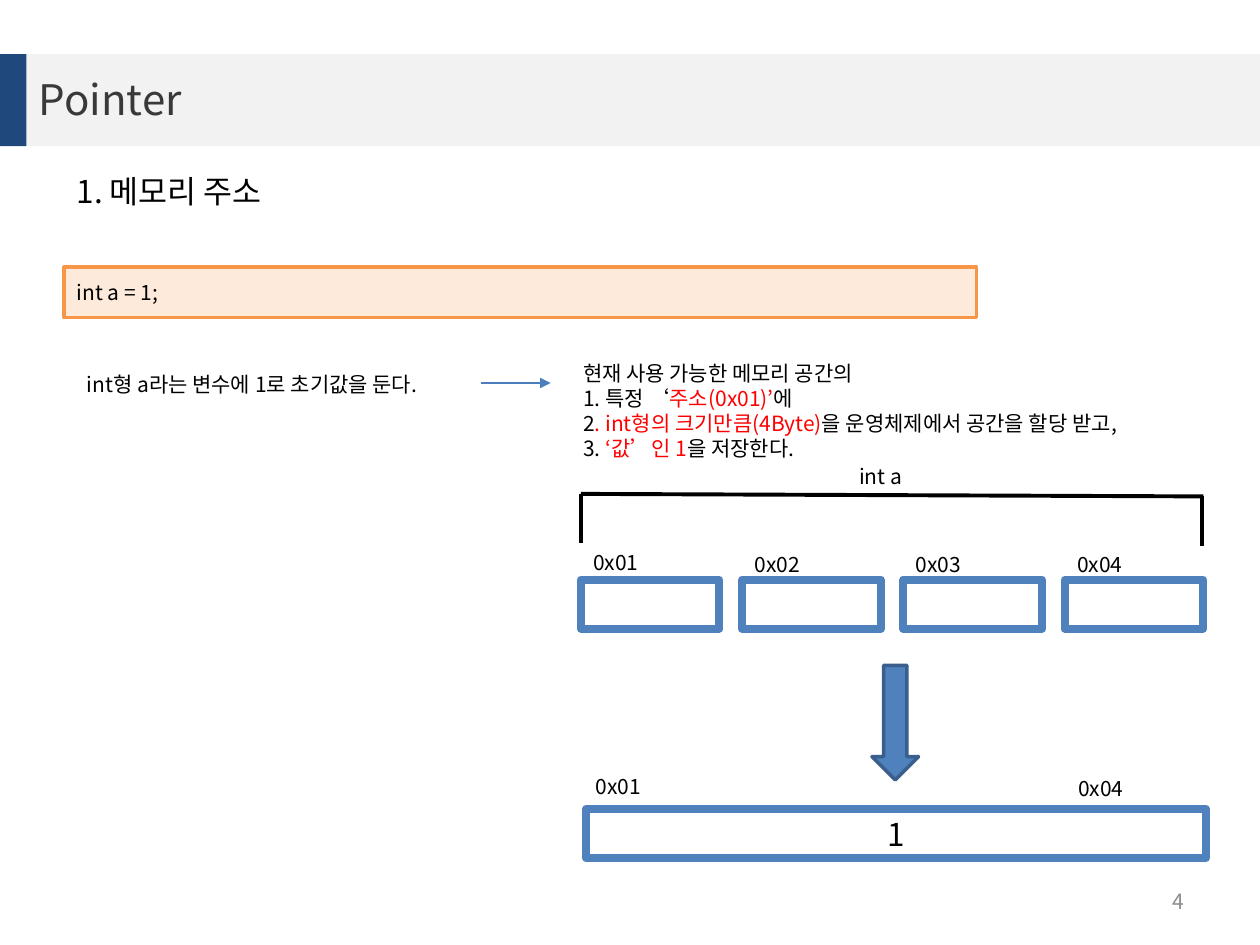
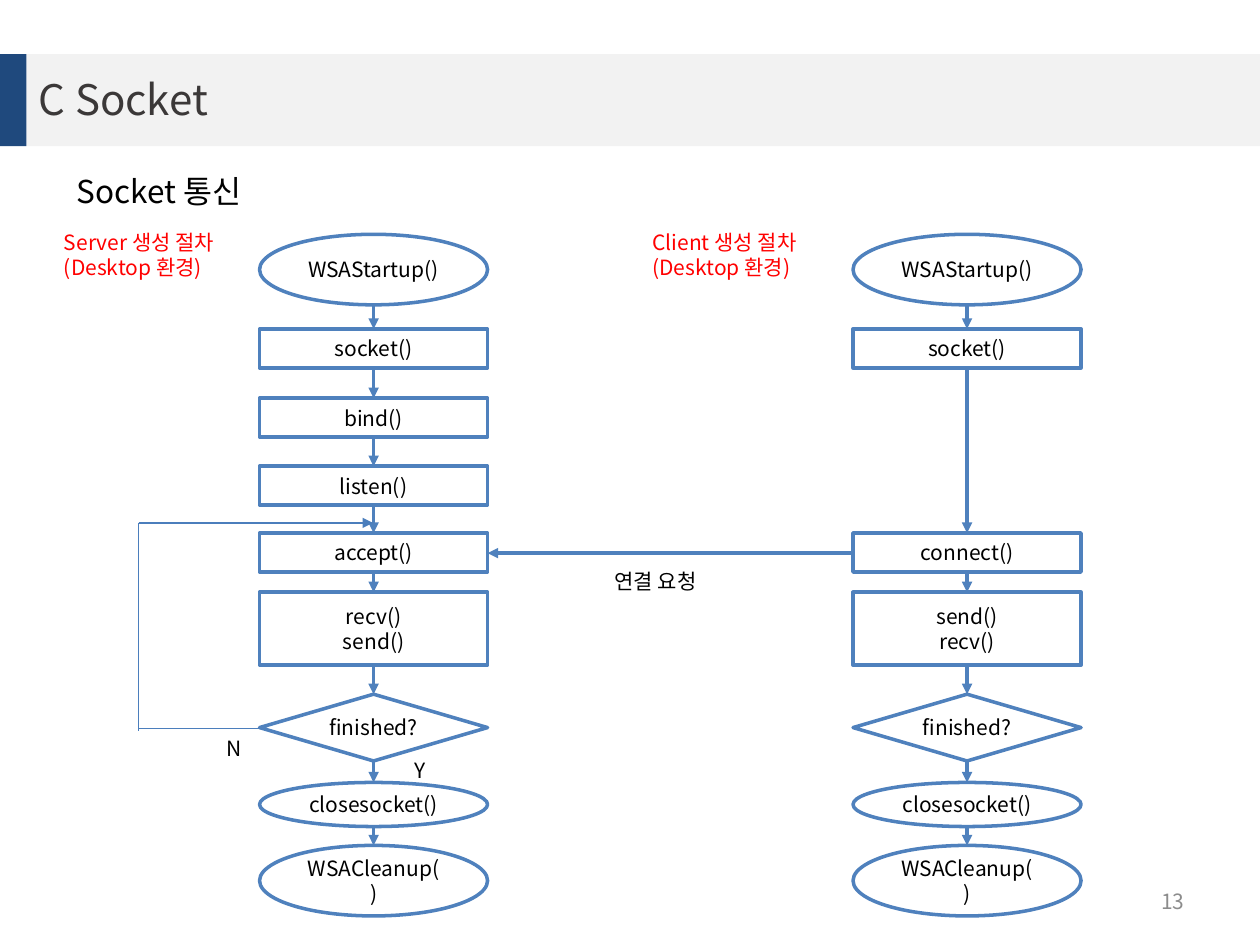
import pptx
import pptx.util
import pptx.dml.color
import pptx.enum.shapes
import pptx.enum.text
import pptx.oxml.ns
import lxml.etree

Form = pptx.enum.shapes.MSO_SHAPE
Side = pptx.enum.text.PP_ALIGN
Stand = pptx.enum.text.MSO_ANCHOR
Pt = pptx.util.Pt
qn = pptx.oxml.ns.qn


class Theme:
    """Colours, font and type sizes of the deck."""
    face = "Noto Sans CJK KR"
    navy, pale, grey, ink = "1F497D", "F2F2F2", "8C8C8C", "3B3838"
    black, white, red = "000000", "FFFFFF", "FF0000"
    blue, thin, deep = "4F81BD", "4B7EBC", "3A5F8C"
    cream, gold = "FDEADA", "F79646"
    small, large, title = 12, 18, 24


# The grid has 100 columns and 75 rows
deck = pptx.Presentation()
deck.slide_width = pptx.util.Inches(10)
deck.slide_height = pptx.util.Inches(7.5)
COL = deck.slide_width / 100
ROW = deck.slide_height / 75


def put(slide, box, text="", form=None, fill=None, line=None, size=Theme.small,
        tint=Theme.black, side=Side.LEFT, stand=Stand.MIDDLE):
    """Add a shape, or a text box without form; text after each odd | is red."""
    left, top, wide, high = box
    area = [round(v) for v in (left * COL, top * ROW, wide * COL, high * ROW)]
    if form is None:
        item = slide.shapes.add_textbox(*area)
    else:
        item = slide.shapes.add_shape(form, *area)
        item.shadow.inherit = False
        item.fill.solid()
        item.fill.fore_color.rgb = pptx.dml.color.RGBColor.from_string(fill)
        if line:
            item.line.color.rgb = pptx.dml.color.RGBColor.from_string(line[0])
            item.line.width = Pt(line[1])
        else:
            item.line.fill.background()
    frame = item.text_frame
    for key, val in {"word_wrap": True, "vertical_anchor": stand}.items():
        setattr(frame, key, val)
    if not text:
        return
    for num, words in enumerate(text.split("\n")):
        para = frame.add_paragraph() if num else frame.paragraphs[0]
        for key, val in {"alignment": side, "line_spacing": Pt(size * 1.2)}.items():
            setattr(para, key, val)
        for part, piece in enumerate(words.split("|")):
            run = para.add_run()
            run.text = piece
            for key, val in {"name": Theme.face, "size": Pt(size)}.items():
                setattr(run.font, key, val)
            shade = Theme.red if part % 2 else tint
            run.font.color.rgb = pptx.dml.color.RGBColor.from_string(shade)
            east = lxml.etree.SubElement(run.font._element, qn("a:ea"))
            east.set("typeface", Theme.face)


def link(slide, start, end, tint=Theme.blue, wide=2, head=True):
    """Draw a straight line between two grid points, with an arrowhead or not."""
    ends = [round(v) for v in (start[0] * COL, start[1] * ROW,
                               end[0] * COL, end[1] * ROW)]
    wire = slide.shapes.add_connector(pptx.enum.shapes.MSO_CONNECTOR.STRAIGHT, *ends)
    wire.line.color.rgb = pptx.dml.color.RGBColor.from_string(tint)
    wire.line.width = Pt(wide)
    if head:
        tip = lxml.etree.SubElement(wire.line._get_or_add_ln(), qn("a:tailEnd"))
        tip.set("type", "triangle")
    lxml.etree.SubElement(wire._element.spPr, qn("a:effectLst"))


# Shared frame: bands, title, heading and page number
pages = []
for title, topic, page in (("Pointer", "1. 메모리 주소", "4"),
                           ("C Socket", "Socket 통신", "13")):
    slide = deck.slides.add_slide(deck.slide_layouts[6])
    put(slide, (2.1, 4.3, 97.9, 7.3), form=Form.RECTANGLE, fill=Theme.pale)
    put(slide, (0, 4.3, 2.1, 7.3), form=Form.RECTANGLE, fill=Theme.navy)
    put(slide, (71.7, 69.5, 23.3, 4), page, tint=Theme.grey, side=Side.RIGHT)
    put(slide, (2.1, 4.2, 92.9, 7.3), title, size=Theme.title, tint=Theme.ink)
    put(slide, (5.1, 13.2, 27.6, 4), topic, size=Theme.large, stand=Stand.TOP)
    pages.append(slide)
first, second = pages

# Slide 1: code line and what it means
put(first, (5.1, 21.2, 72.4, 4), "int a = 1;", Form.RECTANGLE,
    Theme.cream, (Theme.gold, 2))
put(first, (5.9, 29, 36.2, 3), "int형 a라는 변수에 1로 초기값을 둔다. ", stand=Stand.TOP)
link(first, (38.2, 30.4), (43.7, 30.4), Theme.thin, 0.75)
put(first, (45.3, 28.1, 50.4, 9.1),
    "현재 사용 가능한 메모리 공간의 \n"
    "1. 특정 ‘|주소(0x01)’|에 \n"
    "2|. int형의 크기만큼(4Byte)|을 운영체제에서 공간을 할당 받고, \n"
    "3. |‘값’인 1|을 저장한다.",
    side=Side.JUSTIFY, stand=Stand.TOP)

# Slide 1: four bytes under one bracket
cell = {"form": Form.RECTANGLE, "fill": Theme.white, "line": (Theme.blue, 4.5)}
for num in range(4):
    left = 46.1 + 12.8 * num
    put(first, (left, 46, 11, 3.9), **cell)
    put(first, (left, 43.1 if num == 0 else 43.3, 11, 3), f"0x0{num + 1}",
        stand=Stand.TOP)
for start, end in (((46.1, 43.1), (46.1, 39.2)), ((95.5, 39.4), (46.1, 39.2)),
                   ((95.4, 43.3), (95.4, 39.4))):
    link(first, start, end, Theme.black, 2.25, False)
put(first, (67.2, 36.3, 11, 3), "int a", stand=Stand.TOP)

# Slide 1: the bytes joined into one value
put(first, (69.2, 52.8, 3.7, 9.1), form=Form.DOWN_ARROW, fill=Theme.blue,
    line=(Theme.deep, 2))
put(first, (46.5, 64.2, 49.2, 3.9), "1", size=Theme.large, side=Side.CENTER, **cell)
put(first, (46.3, 60.9, 11, 3), "0x01", stand=Stand.TOP)
put(first, (84.6, 61.1, 11, 3), "0x04", stand=Stand.TOP)

# Slide 2: each step has a form, a top row and a height
WIDE = 18.1
start = (Form.OVAL, 18.6, 5.6)
socket, bind, listen, join = [(Form.RECTANGLE, top, 3.1)
                              for top in (26.1, 31.6, 37, 42.3)]
talk = (Form.RECTANGLE, 47, 5.8)
test = (Form.FLOWCHART_DECISION, 55.1, 5.3)
close = (Form.OVAL, 62.1, 3.5)
clean = (Form.OVAL, 67.1, 5.6)
tail = [(test, "finished?"), (close, "closesocket()"), (clean, "WSACleanup()")]
head = [(start, "WSAStartup()"), (socket, "socket()")]
flows = (
    (20.6, 4.1, "Server", head + [(bind, "bind()"), (listen, "listen()"),
                                  (join, "accept()"), (talk, "recv()\nsend()")] + tail),
    (67.7, 50.8, "Client", head + [(join, "connect()"), (talk, "send()\nrecv()")] + tail),
)
for left, edge, role, steps in flows:
    mid = left + WIDE / 2
    last = None
    for (form, top, high), text in steps:
        put(second, (left, top, WIDE, high), text, form, Theme.white,
            (Theme.blue, 2), side=Side.CENTER)
        if last:
            link(second, (mid, last), (mid, top))
        last = top + high
    put(second, (edge, 17.7, 14.7, 5), f"{role} 생성 절차(Desktop 환경)",
        tint=Theme.red, stand=Stand.TOP)

# Slide 2: loop back to accept, and the call from the client
link(second, (20.6, 57.8), (11, 57.8), Theme.thin, 0.75, False)
link(second, (11, 41.5), (11, 58), Theme.thin, 0.75, False)
link(second, (11, 41.5), (29.6, 41.5), Theme.thin, 0.75)
link(second, (67.7, 43.9), (38.7, 43.9))
for box, text in (((31.9, 59.6, 3, 3), "Y"), ((17, 57.9, 3, 3), "N"),
                  ((47.8, 44.6, 10.3, 3), "연결 요청")):
    put(second, box, text, stand=Stand.TOP)

deck.save("out.pptx")
